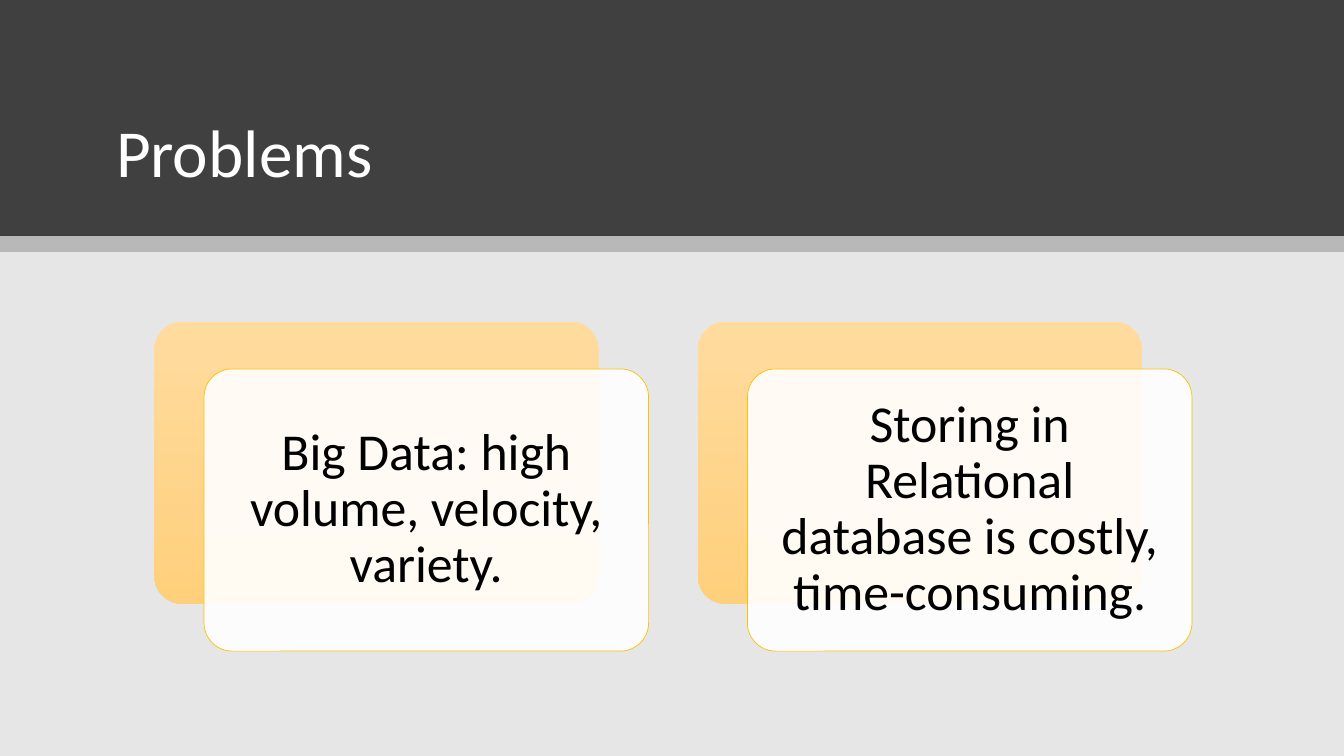
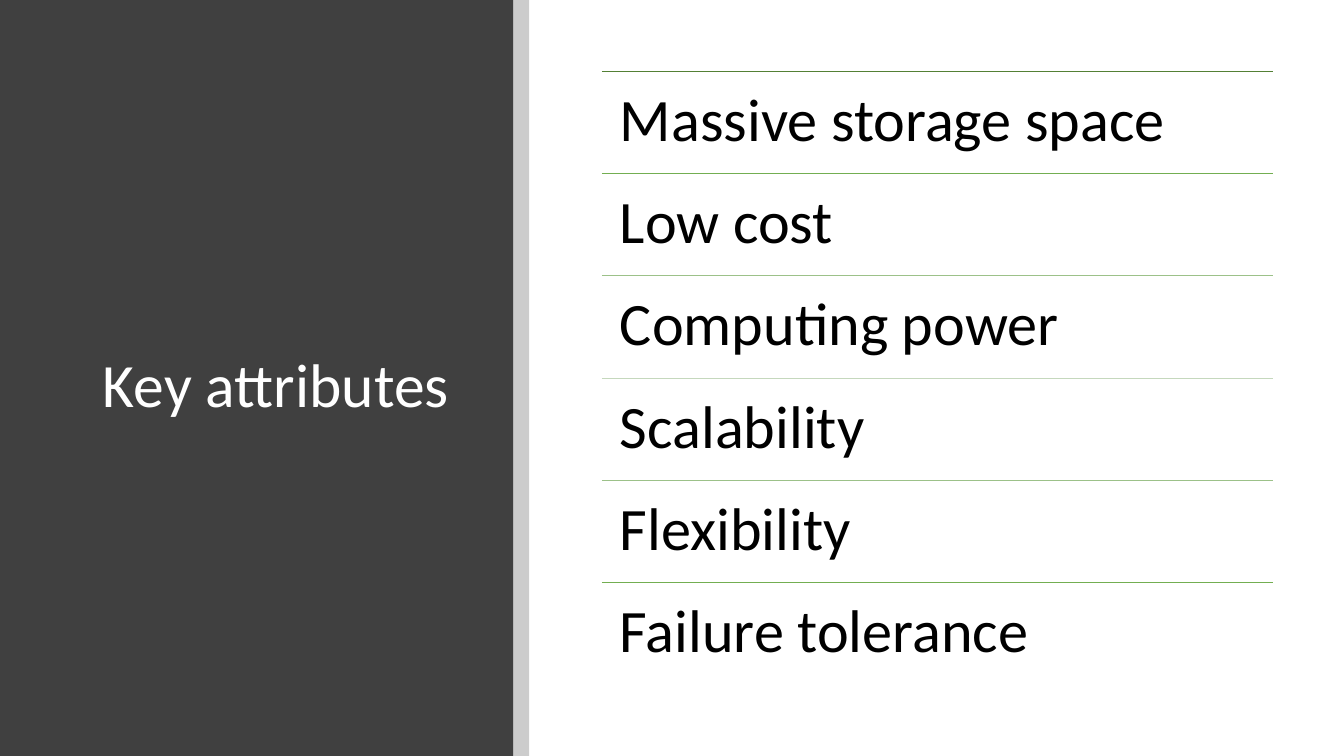
from pptx import Presentation, util as u
from pptx.dml.color import RGBColor
from pptx.enum import shapes, text
from pptx.oxml.ns import qn
from lxml import etree

DARK = RGBColor(0x40, 0x40, 0x40)
PALE = RGBColor(0xE7, 0xE6, 0xE6)
WHITE = RGBColor(0xFF, 0xFF, 0xFF)
BLACK = RGBColor(0, 0, 0)
GOLD = RGBColor(0xFF, 0xC0, 0x00)
LIGHT = RGBColor(0xFF, 0xDB, 0x9E)
AMBER = RGBColor(0xFF, 0xD0, 0x7C)
GREENS = [RGBColor.from_string(c) for c in ("538035", "73AE51", "9CC189", "C5D8BD", "9CC189", "73AE51")]

deck = Presentation()
deck.slide_width, deck.slide_height = u.Inches(13.333), u.Inches(7.5)
W, H = deck.slide_width / 100, deck.slide_height / 100


def block(slide, kind, x, y, w, h, fill=None, alpha=None):
    shape = slide.shapes.add_shape(kind, int(x * W), int(y * H), int(w * W), int(h * H))
    shape.shadow.inherit = False
    shape.line.fill.background()
    if fill is not None:
        shape.fill.solid()
        shape.fill.fore_color.rgb = fill
    if alpha:
        color = shape.element.spPr.find(qn("a:solidFill"))[0]
        etree.SubElement(color, qn("a:alpha"), val=str(alpha * 1000))
    return shape


def write(frame, words, size, color, align, anchor):
    frame.word_wrap = True
    frame.auto_size = text.MSO_AUTO_SIZE.NONE
    frame.vertical_anchor = anchor
    frame.text = words
    para = frame.paragraphs[0]
    para.alignment = align
    para.line_spacing = 0.9
    para.font.name, para.font.size = "Calibri", u.Pt(size)
    para.font.color.rgb = color


RECT, ROUND = shapes.MSO_SHAPE.RECTANGLE, shapes.MSO_SHAPE.ROUNDED_RECTANGLE
LEFT, MID = text.PP_ALIGN.LEFT, text.PP_ALIGN.CENTER
TOP, CENTER, BASE = text.MSO_ANCHOR.TOP, text.MSO_ANCHOR.MIDDLE, text.MSO_ANCHOR.BOTTOM

HEADS = [
    ("Problems", 48, BASE, PALE, (7.88, 6.27, 84.3, 19.87), (0, 0, 100, 31.2), (0, 31.2, 100, 2.13)),
    ("Key attributes", 44, CENTER, WHITE, (6.9, 11.87, 27.38, 78.8), (0, 0, 38.18, 100), (38.18, 0, 1.2, 100)),
]
pages = []
for words, size, anchor, back, spot, panel, strip in HEADS:
    page = deck.slides.add_slide(deck.slide_layouts[5])
    page.background.fill.solid()
    page.background.fill.fore_color.rgb = back
    block(page, RECT, *panel, DARK)
    block(page, RECT, *strip, BLACK, 20)
    title = page.shapes.title
    x, y, w, h = spot
    title.left, title.top, title.width, title.height = int(x * W), int(y * H), int(w * W), int(h * H)
    write(title.text_frame, words, size, WHITE, LEFT, anchor)
    page.shapes.element.append(title.element)
    pages.append(page)
first, second = pages

ISSUES = ["Big Data: high volume, velocity, variety.",
          "Storing in Relational database is costly, time-consuming."]
for col, words in enumerate(ISSUES):
    x = 11.48 + 40.43 * col
    under = block(first, ROUND, x, 42.53, 33.08, 37.33)
    under.fill.gradient()
    under.fill.gradient_angle = 270
    for stop, color in zip(under.fill.gradient_stops, (LIGHT, AMBER)):
        stop.color.rgb = color
    card = block(first, ROUND, x + 3.7, 48.8, 33.08, 37.33, WHITE, 90)
    card.line.color.rgb = GOLD
    card.line.width = u.Pt(0.5)
    under.adjustments[0] = card.adjustments[0] = 0.1
    frame = card.text_frame
    frame.margin_left = frame.margin_right = u.Inches(0.15)
    frame.margin_top = frame.margin_bottom = u.Inches(0.15)
    write(frame, words, 37, BLACK, MID, CENTER)

TRAITS = ["Massive storage space", "Low cost", "Computing power",
          "Scalability", "Flexibility", "Failure tolerance"]
left, wide, step = int(44.78 * W), int(49.95 * W), int(13.51 * H)
for row, (words, color) in enumerate(zip(TRAITS, GREENS)):
    y = int(9.47 * H) + row * step
    rule = second.shapes.add_connector(shapes.MSO_CONNECTOR.STRAIGHT, left, y, left + wide, y)
    rule.line.color.rgb = color
    rule.line.width = u.Pt(0.5)
    etree.SubElement(rule.element.spPr, qn("a:effectLst"))
    frame = second.shapes.add_textbox(left, y, wide, step).text_frame
    frame.margin_left = frame.margin_right = u.Inches(0.18)
    frame.margin_top = frame.margin_bottom = u.Inches(0.18)
    write(frame, words, 43, BLACK, LEFT, TOP)

deck.save("out.pptx")
